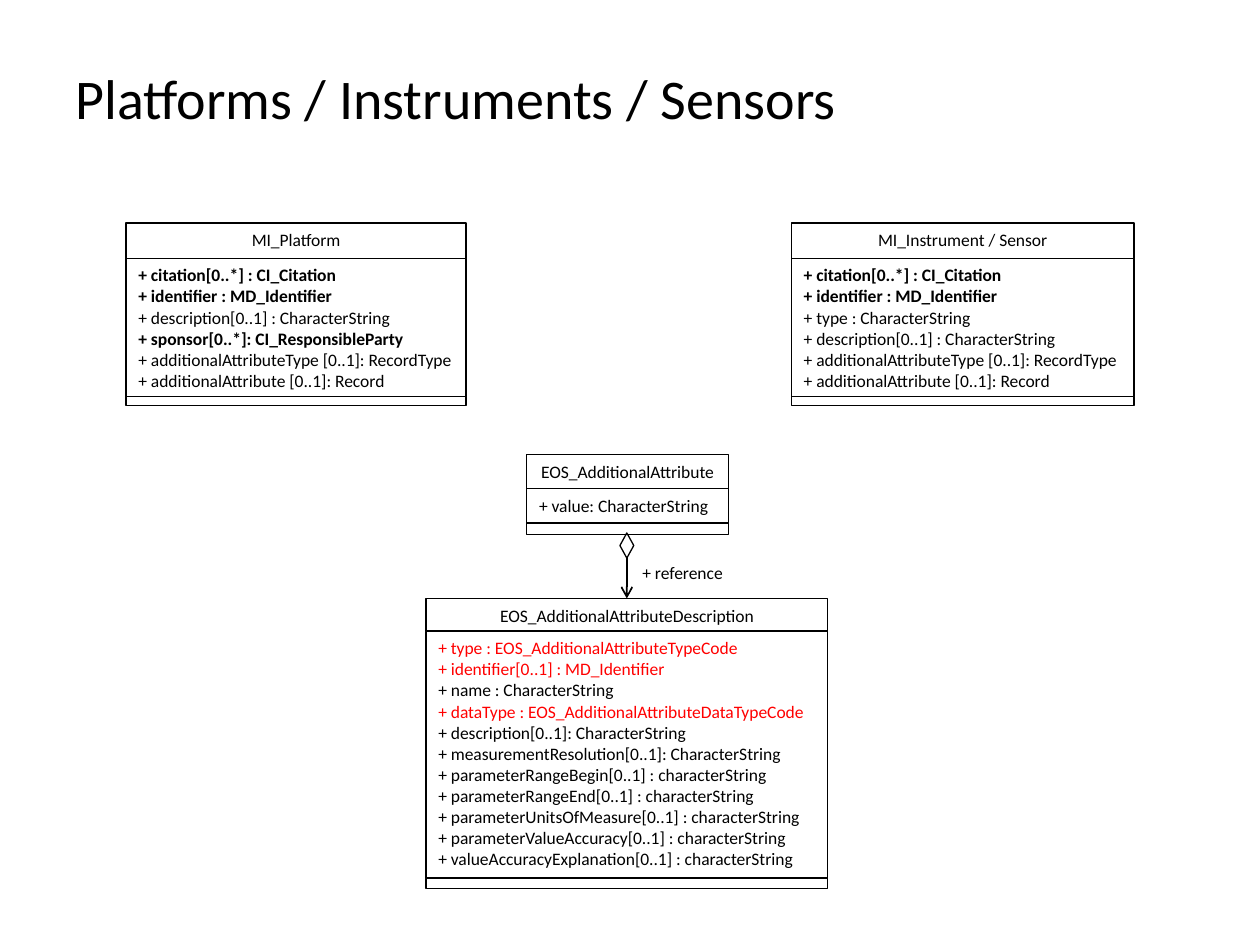
from dataclasses import dataclass

from lxml import etree
from pptx import Presentation
from pptx.dml.color import RGBColor
from pptx.enum.shapes import MSO_CONNECTOR, MSO_SHAPE
from pptx.enum.text import MSO_ANCHOR, MSO_AUTO_SIZE, PP_ALIGN
from pptx.oxml.ns import qn
from pptx.util import Inches, Pt

RECTANGLE, DIAMOND = MSO_SHAPE.RECTANGLE, MSO_SHAPE.DIAMOND
STRAIGHT = MSO_CONNECTOR.STRAIGHT
LEFT, CENTER = PP_ALIGN.LEFT, PP_ALIGN.CENTER
TOP, MIDDLE = MSO_ANCHOR.TOP, MSO_ANCHOR.MIDDLE
GROW, FIXED = MSO_AUTO_SIZE.SHAPE_TO_FIT_TEXT, MSO_AUTO_SIZE.NONE
SITE_TOP, SITE_BOTTOM = 0, 2


@dataclass(frozen=True)
class Theme:
    font: str = "Calibri"
    ink: RGBColor = RGBColor(0, 0, 0)
    accent: RGBColor = RGBColor(255, 0, 0)
    title_size: Pt = Pt(32)
    text_size: Pt = Pt(10)
    border: Pt = Pt(0.75)
    arrow: Pt = Pt(1)


THEME = Theme()
PLAIN = {"name": THEME.font, "size": THEME.text_size, "bold": False}
BOLD = {**PLAIN, "bold": True}
RED = {**PLAIN, "color": THEME.accent}
TITLE = {**PLAIN, "size": THEME.title_size}

# Each class: box (left, top, width), bottoms of its three parts, attributes
CLASSES = {
    "MI_Instrument / Sensor": ((6.28, 1.77, 2.72), (2.05, 3.15, 3.22), [
        ("+ citation[0..*] : CI_Citation", BOLD),
        ("+ identifier : MD_Identifier", BOLD),
        ("+ type : CharacterString", PLAIN),
        ("+ description[0..1] : CharacterString", PLAIN),
        ("+ additionalAttributeType [0..1]: RecordType", PLAIN),
        ("+ additionalAttribute [0..1]: Record", PLAIN),
    ]),
    "MI_Platform": ((1, 1.77, 2.7), (2.05, 3.15, 3.22), [
        ("+ citation[0..*] : CI_Citation", BOLD),
        ("+ identifier : MD_Identifier", BOLD),
        ("+ description[0..1] : CharacterString", PLAIN),
        ("+ sponsor[0..*]: CI_ResponsibleParty", BOLD),
        ("+ additionalAttributeType [0..1]: RecordType", PLAIN),
        ("+ additionalAttribute [0..1]: Record", PLAIN),
    ]),
    "EOS_AdditionalAttribute": ((4.18, 3.61, 1.6), (3.88, 4.15, 4.24), [
        ("+ value: CharacterString", PLAIN),
    ]),
    "EOS_AdditionalAttributeDescription": ((3.38, 4.75, 3.19), (5.01, 6.97, 7.05), [
        ("+ type : EOS_AdditionalAttributeTypeCode", RED),
        ("+ identifier[0..1] : MD_Identifier", RED),
        ("+ name : CharacterString", PLAIN),
        ("+ dataType : EOS_AdditionalAttributeDataTypeCode", RED),
        ("+ description[0..1]: CharacterString", PLAIN),
        ("+ measurementResolution[0..1]: CharacterString", PLAIN),
        ("+ parameterRangeBegin[0..1] : characterString", PLAIN),
        ("+ parameterRangeEnd[0..1] : characterString", PLAIN),
        ("+ parameterUnitsOfMeasure[0..1] : characterString", PLAIN),
        ("+ parameterValueAccuracy[0..1] : characterString", PLAIN),
        ("+ valueAccuracyExplanation[0..1] : characterString", PLAIN),
    ]),
}


def write_lines(shape, lines, alignment=LEFT, anchor=TOP, auto_size=GROW):
    frame = shape.text_frame
    settings = {"word_wrap": True, "auto_size": auto_size, "vertical_anchor": anchor,
                "margin_right": Inches(0.05)}
    for name, value in settings.items():
        setattr(frame, name, value)
    for index, (text, style) in enumerate(lines):
        paragraph = frame.paragraphs[0] if index == 0 else frame.add_paragraph()
        paragraph.alignment = alignment
        run = paragraph.add_run()
        run.text = text
        run.font.color.rgb = style.get("color", THEME.ink)
        for name, value in style.items():
            if name != "color":
                setattr(run.font, name, value)


def add_text(slide, box, text, style, **layout):
    shape = slide.shapes.add_textbox(*map(Inches, box))
    write_lines(shape, [(text, style)], **layout)


def add_outline(shapes, preset, box):
    shape = shapes.add_shape(preset, *map(Inches, box))
    shape.shadow.inherit = False
    shape.fill.background()
    shape.line.color.rgb = THEME.ink
    shape.line.width = THEME.border
    return shape


def add_class(slide, name, box, bottoms, attributes):
    """Stack name, attributes and operations; return the name part."""
    left, top, width = box
    group = slide.shapes.add_group_shape()
    parts = []
    for bottom in bottoms:
        parts.append(add_outline(group.shapes, RECTANGLE, (left, top, width, bottom - top)))
        top = bottom
    header, body, _ = parts
    write_lines(header, [(name, PLAIN)], CENTER)
    header.text_frame.margin_right = Inches(0.1)
    write_lines(body, attributes)
    return header


def add_reference(slide, box, target):
    """Draw the aggregation diamond and its arrow to the target class."""
    diamond = add_outline(slide.shapes, DIAMOND, box)
    arrow = slide.shapes.add_connector(STRAIGHT, 0, 0, 0, 0)
    arrow.begin_connect(diamond, SITE_BOTTOM)
    arrow.end_connect(target, SITE_TOP)
    arrow.line.color.rgb = THEME.ink
    arrow.line.width = THEME.arrow
    etree.SubElement(arrow.line._get_or_add_ln(), qn("a:tailEnd"), type="arrow")
    etree.SubElement(arrow._element.spPr, qn("a:effectLst"))


def main():
    presentation = Presentation()
    presentation.slide_width, presentation.slide_height = Inches(10), Inches(7.5)
    slide = presentation.slides.add_slide(presentation.slide_layouts[6])

    # Title
    add_text(slide, (0.5, 0.5, 9, 0.54), "Platforms / Instruments / Sensors", TITLE,
             anchor=MIDDLE, auto_size=FIXED)

    # Class boxes
    headers = {name: add_class(slide, name, *parts) for name, parts in CLASSES.items()}

    # Aggregation between the two attribute classes
    add_text(slide, (5, 4.41, 1.11, 0.27), "+ reference", PLAIN)
    add_reference(slide, (4.92, 4.23, 0.11, 0.2),
                  headers["EOS_AdditionalAttributeDescription"])

    presentation.save("out.pptx")


if __name__ == "__main__":
    main()
